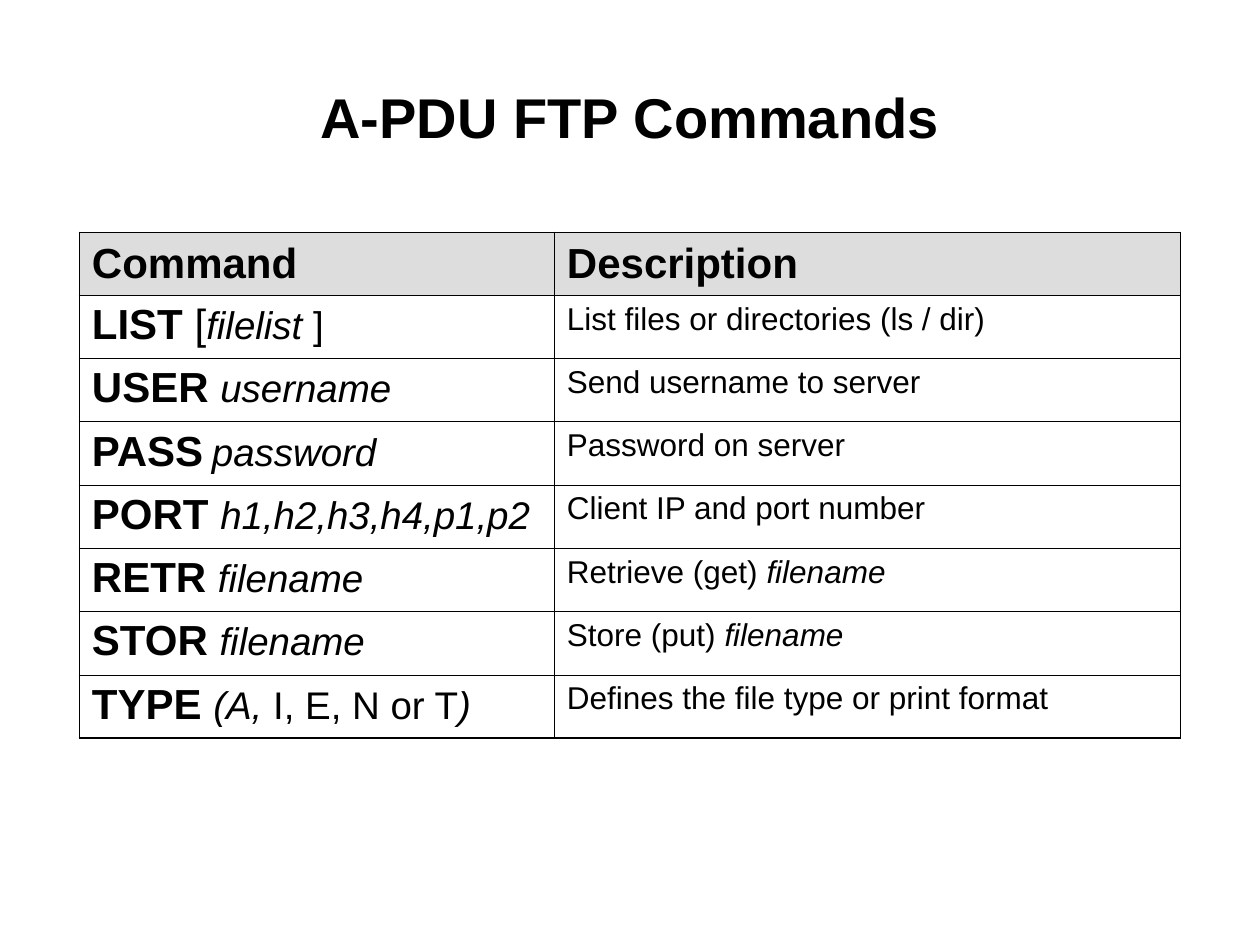
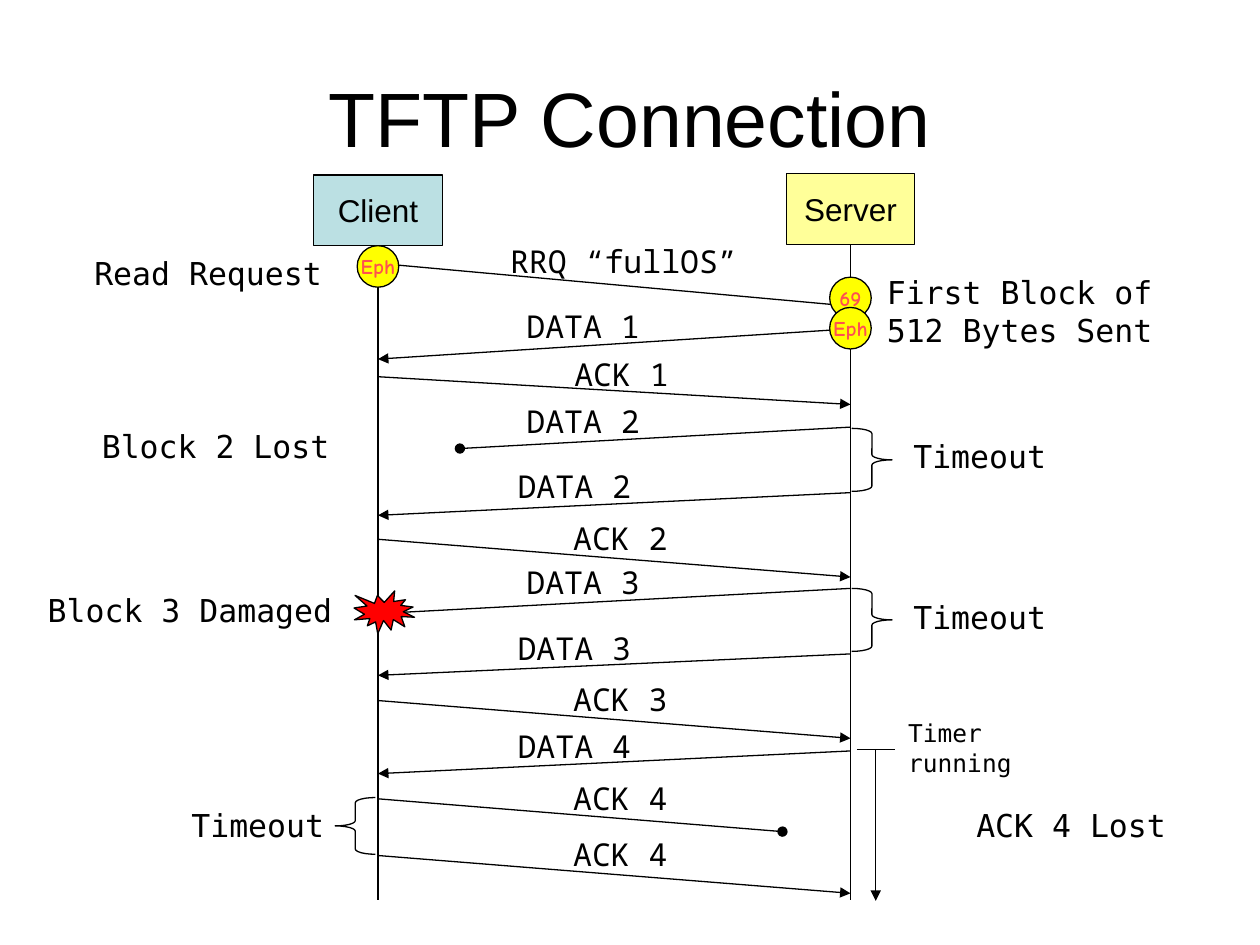
import pptx
import pptx.util
import pptx.dml.color
import pptx.enum.shapes
import pptx.enum.text
import pptx.oxml
import pptx.oxml.ns
from dataclasses import dataclass

SHAPE = pptx.enum.shapes.MSO_SHAPE
ALIGN = pptx.enum.text.PP_ALIGN
ANCHOR = pptx.enum.text.MSO_ANCHOR
EMU_PER_PX = 9144


@dataclass(frozen=True)
class Theme:
    ink: str = "000000"
    header_fill: str = "DDDDDD"
    client_fill: str = "BBE0E3"
    server_fill: str = "FFFF99"
    port_fill: str = "FFFF00"
    port_ink: str = "FF5050"
    damage_fill: str = "FF0000"
    sans: str = "Arial"
    note_font: str = "DejaVu Sans Mono"
    message_font: str = "Noto Sans Mono"
    port_font: str = "Comic Neue"
    body: int = 18
    small: int = 14
    port: int = 12
    line: float = 0.75
    thin: float = 0.45
    thick: float = 1.08


T = Theme()

SLIDE = (1000, 750)
TITLE_BOX = (50, 30, 900, 125)

COMMANDS_TITLE = ("A-PDU FTP Commands", 32, True)
TABLE_BOX = (63, 184, 874, 402)
COLUMNS = (377, 497)
RUN_STYLES = {
    "name": (24, True, False),
    "mark": (24, False, False),
    "arg": (22, False, True),
    "plain": (22, False, False),
    "text": (18, False, False),
    "text_arg": (18, False, True),
}
COMMANDS = [
    ([("Command", "name")], [("Description", "name")]),
    ([("LIST", "name"), (" [", "mark"), ("filelist ", "arg"), ("]", "plain")],
     [("List files or directories (ls / dir)", "text")]),
    ([("USER ", "name"), ("username", "arg")], [("Send username to server", "text")]),
    ([("PASS", "name"), (" ", "text"), ("password", "arg")], [("Password on server", "text")]),
    ([("PORT ", "name"), ("h1,h2,h3,h4,p1,p2", "arg")], [("Client IP and port number", "text")]),
    ([("RETR ", "name"), ("filename", "arg")],
     [("Retrieve (get) ", "text"), ("filename", "text_arg")]),
    ([("STOR ", "name"), ("filename", "arg")],
     [("Store (put) ", "text"), ("filename", "text_arg")]),
    ([("TYPE ", "name"), ("(A, ", "arg"), ("I, E, N or T", "plain"), (")", "arg")],
     [("Defines the file type or print format", "text")]),
]

CONNECTION_TITLE = ("TFTP Connection", 44, False)
CLIENT_X, SERVER_X, LIFELINE_END = 300, 675, 714
HOST_SIZE = (102, 56)
HOSTS = [
    ("Client", CLIENT_X, 139, T.client_fill),
    ("Server", SERVER_X, 138, T.server_fill),
]
# label, label left, label top, start x, start y, end x, end y, head
MESSAGES = [
    ("RRQ “fullOS”", 395, 187, CLIENT_X, 209, SERVER_X, 243, "triangle"),
    ("DATA 1", 408, 239, SERVER_X, 261, CLIENT_X, 285, "triangle"),
    ("ACK 1", 446, 277, CLIENT_X, 299, SERVER_X, 321, "triangle"),
    ("DATA 2", 408, 314, SERVER_X, 339, 365, 356, "oval"),
    ("DATA 2", 401, 366, SERVER_X, 391, CLIENT_X, 409, "triangle"),
    ("ACK 2", 445, 407, CLIENT_X, 428, SERVER_X, 458, "triangle"),
    ("DATA 3", 408, 442, SERVER_X, 467, CLIENT_X, 487, "triangle"),
    ("DATA 3", 401, 494, SERVER_X, 519, CLIENT_X, 536, "triangle"),
    ("ACK 3", 445, 535, CLIENT_X, 556, SERVER_X, 586, "triangle"),
    ("DATA 4", 401, 572, SERVER_X, 596, CLIENT_X, 614, "triangle"),
    ("ACK 4", 445, 613, CLIENT_X, 634, 621, 660, "oval"),
    ("ACK 4", 445, 658, CLIENT_X, 679, SERVER_X, 709, "triangle"),
]
NOTES = [
    ("Read Request", 65, 197, T.body),
    ("First Block of\n512 Bytes Sent", 694, 212, T.body),
    ("Block 2 Lost", 71, 334, T.body),
    ("Timeout", 715, 342, T.body),
    ("Block 3 Damaged", 28, 464, T.body),
    ("Timeout", 715, 470, T.body),
    ("Timeout", 142, 635, T.body),
    ("ACK 4 Lost", 765, 635, T.body),
    ("Timer\nrunning", 711, 565, T.small),
]
LABEL_CHAR, LABEL_LINE, LABEL_PAD, LABEL_SLACK = 15, 30, 10, 6
BRACES = [
    (SHAPE.RIGHT_BRACE, 676, 340, 32, 50),
    (SHAPE.RIGHT_BRACE, 676, 467, 32, 50),
    (SHAPE.LEFT_BRACE, 266, 633, 32, 45),
]
BRACE_CURVE = 0.13
DAMAGE_BOX = (281, 469, 48, 34)
PORT_SIZE = 33
PORTS = [("Eph", CLIENT_X, 195), ("69", SERVER_X, 220), ("Eph", SERVER_X, 244)]
TIMER_LINES = [(680, 595, 710, 595, None), (695, 595, 695, 715, "triangle")]


def px(value):
    return pptx.util.Emu(round(value * EMU_PER_PX))


def box(values):
    return [px(v) for v in values]


def rgb(value):
    return pptx.dml.color.RGBColor.from_string(value)


def style_font(font, size, name=T.sans, color=T.ink, bold=False, italic=False):
    font.size = pptx.util.Pt(size)
    font.name = name
    font.color.rgb = rgb(color)
    font.bold, font.italic = bold, italic


def set_text(tf, text, size, name=T.sans, color=T.ink, bold=False, align=ALIGN.LEFT):
    tf.text = text
    for p in tf.paragraphs:
        p.alignment = align
        for r in p.runs:
            style_font(r.font, size, name, color, bold)


def add_title(s, text, size, bold):
    tf = s.shapes.add_textbox(*box(TITLE_BOX)).text_frame
    tf.word_wrap = True
    tf.vertical_anchor = ANCHOR.MIDDLE
    set_text(tf, text, size, bold=bold, align=ALIGN.CENTER)


def add_label(s, text, left, top, size, font):
    lines = text.split("\n")
    scale = size / T.body
    width = 2 * LABEL_PAD + LABEL_SLACK + LABEL_CHAR * max(map(len, lines)) * scale
    height = LABEL_PAD + LABEL_LINE * len(lines) * scale
    tf = s.shapes.add_textbox(*box((left, top, width, height))).text_frame
    tf.word_wrap = True
    set_text(tf, text, size, font)


def add_figure(s, kind, bounds, fill=None):
    sp = s.shapes.add_shape(kind, *box(bounds))
    sp.shadow.inherit = False
    if fill:
        sp.fill.solid()
        sp.fill.fore_color.rgb = rgb(fill)
    else:
        sp.fill.background()
    sp.line.color.rgb = rgb(T.ink)
    sp.line.width = pptx.util.Pt(T.line)
    return sp


def add_caption(sp, text, size, name=T.sans, color=T.ink, bold=False):
    tf = sp.text_frame
    tf.word_wrap = False
    tf.vertical_anchor = ANCHOR.MIDDLE
    set_text(tf, text, size, name, color, bold, ALIGN.CENTER)


def add_line(s, x1, y1, x2, y2, head=None):
    line = s.shapes.add_connector(
        pptx.enum.shapes.MSO_CONNECTOR.STRAIGHT, *box((x1, y1, x2, y2)))
    line.line.color.rgb = rgb(T.ink)
    line.line.width = pptx.util.Pt(T.line)
    props = line._element.spPr
    if head:
        ln = props.find(pptx.oxml.ns.qn("a:ln"))
        ln.append(pptx.oxml.parse_xml(
            f'<a:tailEnd {pptx.oxml.ns.nsdecls("a")} type="{head}"/>'))
    props.append(pptx.oxml.parse_xml(f'<a:effectLst {pptx.oxml.ns.nsdecls("a")}/>'))
    return line


def set_borders(cell, widths):
    for side, width in widths.items():
        cell._tc.get_or_add_tcPr().append(pptx.oxml.parse_xml(
            f'<a:ln{side} {pptx.oxml.ns.nsdecls("a")} w="{pptx.util.Pt(width)}">'
            f'<a:solidFill><a:srgbClr val="{T.ink}"/></a:solidFill></a:ln{side}>'))


def fill_cell(cell, runs, is_header):
    if is_header:
        cell.fill.solid()
        cell.fill.fore_color.rgb = rgb(T.header_fill)
    else:
        cell.fill.background()
    cell.vertical_anchor = ANCHOR.MIDDLE if is_header else ANCHOR.TOP
    p = cell.text_frame.paragraphs[0]
    for text, style in runs:
        r = p.add_run()
        r.text = text
        size, bold, italic = RUN_STYLES[style]
        style_font(r.font, size, bold=bold, italic=italic)


def build_commands(s):
    add_title(s, *COMMANDS_TITLE)
    table = s.shapes.add_table(len(COMMANDS), len(COLUMNS), *box(TABLE_BOX)).table
    table.first_row = table.horz_banding = False
    for column, width in zip(table.columns, COLUMNS):
        column.width = px(width)
    last_row, last_col = len(COMMANDS) - 1, len(COLUMNS) - 1
    for i, row in enumerate(COMMANDS):
        table.rows[i].height = px(TABLE_BOX[3] / len(COMMANDS))
        for j, runs in enumerate(row):
            cell = table.cell(i, j)
            set_borders(cell, {
                "L": T.thick if j == 0 else T.thin,
                "R": T.thick if j == last_col else T.thin,
                "T": T.thin,
                "B": T.thick if i == last_row else T.thin,
            })
            fill_cell(cell, runs, i == 0)


def build_connection(s):
    add_title(s, *CONNECTION_TITLE)
    width, height = HOST_SIZE
    for name, x, top, fill in HOSTS:
        host = add_figure(s, SHAPE.RECTANGLE, (x - width / 2, top, width, height), fill)
        add_caption(host, name, T.body)
        add_line(s, x, top + height, x, LIFELINE_END).begin_connect(host, 2)
    for label, left, top, *ends in MESSAGES:
        add_line(s, *ends)
        add_label(s, label, left, top, T.body, T.message_font)
    for text, left, top, size in NOTES:
        add_label(s, text, left, top, size, T.note_font)
    for kind, *bounds in BRACES:
        add_figure(s, kind, bounds).adjustments[0] = BRACE_CURVE
    add_figure(s, SHAPE.EXPLOSION1, DAMAGE_BOX, T.damage_fill)
    for name, x, top in PORTS:
        port = add_figure(s, SHAPE.OVAL, (x - PORT_SIZE / 2, top, PORT_SIZE, PORT_SIZE), T.port_fill)
        add_caption(port, name, T.port, T.port_font, T.port_ink, True)
    for ends in TIMER_LINES:
        add_line(s, *ends)


def main():
    prs = pptx.Presentation()
    prs.slide_width, prs.slide_height = box(SLIDE)
    for build in (build_commands, build_connection):
        build(prs.slides.add_slide(prs.slide_layouts[6]))
    prs.save("out.pptx")


if __name__ == "__main__":
    main()
